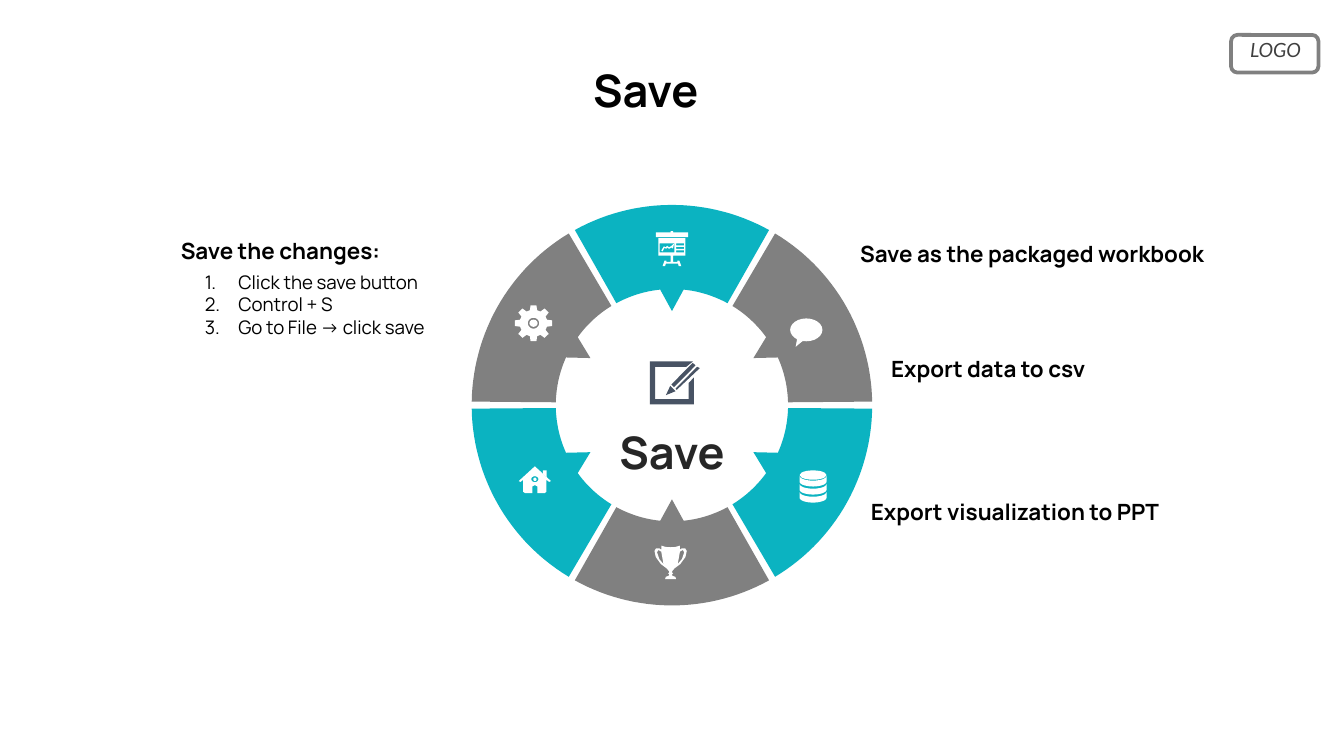
from math import cos, radians, sin

from lxml import etree
from pptx import Presentation, util as u
from pptx.dml.color import RGBColor
from pptx.enum import shapes, text
from pptx.oxml import ns

COLUMNS, ROWS = 100, 56.25
TEAL, GRAY, SLATE, WHITE, BLACK = "0BB3C1", "808080", "485364", "FFFFFF", "000000"


def cells(count):
    """Turn grid cells into a length."""
    return u.Inches(count / 10)


def color(value):
    """Read a hex colour."""
    return RGBColor.from_string(value)


def polar(center, radius, angle):
    """Find a point by its clockwise angle from the top."""
    return (center[0] + radius * sin(radians(angle)),
            center[1] - radius * cos(radians(angle)))


def arc(center, radius, start, end, step=2):
    """List points along an arc, in either direction."""
    count = max(1, round(abs(end - start) / step))
    return [polar(center, radius, start + (end - start) * i / count) for i in range(count + 1)]


def rectangle(left, top, right, bottom):
    """List the corners of a rectangle."""
    return [(left, top), (right, top), (right, bottom), (left, bottom)]


def mirror(points):
    """Reflect points across the middle of a 100-wide box."""
    return [(100 - x, y) for x, y in reversed(points)]


def fill(shape, value):
    """Paint a shape flat, without outline or shadow."""
    shape.fill.solid()
    shape.fill.fore_color.rgb = color(value)
    shape.line.fill.background()
    shape.shadow.inherit = False


def outline(slide, contours, value, box=(0, 0, 100, 100)):
    """Draw closed contours given in percent of a box."""
    left, top, width, height = box
    placed = [[(cells(left + x * width / 100), cells(top + y * height / 100)) for x, y in points]
              for points in contours]
    builder = slide.shapes.build_freeform(*placed[0][0])
    for index, points in enumerate(placed):
        if index:
            builder.move_to(*points[0])
        builder.add_line_segments(points[1:], close=True)
    fill(builder.convert_to_shape(), value)


def preset(slide, kind, box, value):
    """Add a flat preset shape."""
    shape = slide.shapes.add_shape(kind, *map(cells, box))
    fill(shape, value)
    return shape


def label(slide, box, lines, size, bold=True, tight=True, value=BLACK,
          font="Manrope", italic=False, centered=False, numbered=False):
    """Write lines of text in a box."""
    frame = slide.shapes.add_textbox(*map(cells, box)).text_frame
    frame.word_wrap = True
    if tight:
        frame.margin_left = frame.margin_right = u.Inches(0.05)
        frame.margin_top = frame.margin_bottom = u.Inches(0.03)
    frame.text = "\n".join(lines)
    for paragraph in frame.paragraphs:
        if centered:
            paragraph.alignment = text.PP_ALIGN.CENTER
        if numbered:
            number(paragraph)
        for run in paragraph.runs:
            run.font.name, run.font.size = font, u.Pt(size)
            run.font.bold, run.font.italic = bold, italic
            run.font.color.rgb = color(value)


def number(paragraph):
    """Give a paragraph a hanging automatic number."""
    properties = paragraph._p.get_or_add_pPr()
    properties.set("marL", str(u.Inches(0.42)))
    properties.set("indent", str(u.Inches(-0.25)))
    tint = etree.SubElement(properties, ns.qn("a:buClr"))
    etree.SubElement(tint, ns.qn("a:srgbClr")).set("val", BLACK)
    etree.SubElement(properties, ns.qn("a:buAutoNum")).set("type", "arabicPeriod")


def logo(slide, box):
    """Place the framed logo word."""
    left, top, width, height = box
    frame = preset(slide, shapes.MSO_SHAPE.ROUNDED_RECTANGLE, box, WHITE)
    frame.fill.background()
    frame.line.color.rgb = color(GRAY)
    frame.line.width = u.Pt(2)
    label(slide, (left - 0.6, top - 0.3, width + 1.3, height), ["LOGO"], 10.5, bold=False,
          tight=False, value="404040", font="Lato", italic=True, centered=True)


def wheel(slide, box):
    """Draw six ring segments, each with a pointer towards the centre."""
    left, top, size, _ = box
    center, outer = (left + size / 2, top + size / 2), size / 2
    inner, tip = outer * 0.58, outer * 0.47
    for index in range(6):
        middle = index * 60
        segment = (arc(center, outer, middle - 29, middle + 29)
                   + arc(center, inner, middle + 28.6, middle + 5.8)
                   + [polar(center, tip, middle)]
                   + arc(center, inner, middle - 5.8, middle - 28.6))
        outline(slide, [segment], GRAY if index % 2 else TEAL)


def easel(slide, box):
    """Draw a presentation board with a chart line."""
    left, top, width, height = box
    rail = [(50, 0), (54, 0), (54, 4), (100, 4), (100, 17), (50, 17)]
    stand = [(50, 20), (92, 20), (92, 70), (54, 70), (54, 88), (67, 88), (67, 85),
             (73, 85), (79, 100), (71, 100), (69, 93), (50, 93)]
    panes = [rectangle(63, y, 88, y + 6) for y in (35, 45, 55)]
    outline(slide, [rail + mirror(rail)], WHITE, box)
    outline(slide, [stand + mirror(stand), rectangle(12, 35, 58, 61)] + panes, WHITE, box)
    trend = [(80, 30), (60, 50), (45, 30), (35, 50), (20, 38), (0, 90), (10, 100), (25, 55),
             (38, 68), (48, 52), (60, 68), (80, 52), (90, 65), (100, 0)]
    outline(slide, [trend], WHITE, (left + width * 0.17, top + height * 0.35,
                                    width * 0.4, height * 0.23))


def balloon(slide, box):
    """Draw a speech balloon."""
    shape = preset(slide, shapes.MSO_SHAPE.OVAL_CALLOUT, box, WHITE)
    shape.adjustments[0], shape.adjustments[1] = -0.33, 0.74


def cylinder(slide, box):
    """Draw a stack of three disks under a lid."""
    left, top, width, height = box
    lid = height * 0.29
    preset(slide, shapes.MSO_SHAPE.OVAL, (left, top, width, lid), WHITE)
    upper = [(x, y * 0.9 - 45) for x, y in arc((50, 50), 50, 270, 90, 10)]
    lower = [(x, y * 0.9 + 10) for x, y in arc((50, 50), 50, 90, 270, 10)]
    for index in range(3):
        outline(slide, [upper + lower], WHITE,
                (left, top + height * (0.17 + 0.25 * index), width, height * 0.33))


def cup(slide, box):
    """Draw a trophy."""
    half = [(50, 5), (65, 4), (79, 0), (79, 12), (85, 8), (95, 8), (100, 16), (96, 34), (80, 55),
            (62, 68), (55, 76), (54, 80), (58, 82), (54, 86), (56, 90), (65, 93), (67, 100)]
    handle = [(79, 18), (88, 13), (92, 20), (85, 40), (72, 55)]
    outline(slide, [half + mirror(half), handle, mirror(handle)], WHITE, box)


def house(slide, box):
    """Draw a house with a round window and a chimney."""
    left, top, width, height = box
    half = [(50, 0), (100, 55), (94, 58), (86, 50), (86, 95), (80, 100), (58, 100),
            (58, 75), (50, 70)]
    outline(slide, [half + mirror(half), arc((50, 48), 11, 0, 350, 10)], WHITE, box)
    outline(slide, [[(75, 15), (86, 15), (86, 40), (75, 28)]], WHITE, box)
    preset(slide, shapes.MSO_SHAPE.OVAL, (left + width * 0.45, top + height * 0.42,
                                          width * 0.1, height * 0.13), WHITE)


def gear(slide, box):
    """Draw an eight-tooth gear with a hub."""
    left, top, width, height = box
    rim = [polar((50, 50), radius, tooth * 45 + turn) for tooth in range(8)
           for radius, turn in ((37, -15), (50, -9), (50, 9), (37, 15))]
    outline(slide, [rim, arc((50, 50), 15, 0, 350, 10)], WHITE, box)
    preset(slide, shapes.MSO_SHAPE.OVAL, (left + width * 0.39, top + height * 0.4,
                                          width * 0.22, height * 0.2), WHITE)


def hub(slide, box):
    """Place the notepad and its word in the middle of the wheel."""
    left, top, width, _ = box
    pad = [(72, 88), (10, 88), (10, 15), (68, 15), (80, 3), (0, 3), (0, 100),
           (82, 100), (82, 39), (72, 52)]
    nib = [(48, 70), (38, 58), (30, 79)]
    barrels = [[(80, 6), (40, 55), (45, 61), (85, 12)], [(48, 64), (50, 67), (93, 18), (88, 15)]]
    outline(slide, [pad, nib] + barrels, SLATE, (left + 4.8, top, 4, 3.3))
    label(slide, (left, top + 4.5, width, 4.5), ["Save"], 24, value="262626", centered=True)


def steps(slide, box):
    """Place a heading over its numbered steps."""
    left, top, width, _ = box
    label(slide, (left, top, width, 2.5), ["Save the changes:"], 12)
    label(slide, (left - 0.4, top + 2.3, width + 0.4, 6.1),
          ["Click the save button", "Control + S", "Go to File -> click save"],
          10, bold=False, tight=False, numbered=True)


def main():
    """Build the slide."""
    deck = Presentation()
    deck.slide_width, deck.slide_height = cells(COLUMNS), cells(ROWS)
    slide = deck.slides.add_slide(deck.slide_layouts[6])
    logo(slide, (91.6, 2.6, 6.5, 2.8))
    wheel(slide, (35.1, 15.25, 29.8, 29.8))
    easel(slide, (48.8, 17.2, 2.4, 2.6))
    balloon(slide, (58.8, 23.7, 2.4, 1.7))
    cylinder(slide, (59.5, 35, 2, 2.4))
    cup(slide, (48.7, 40.6, 2.4, 2.5))
    house(slide, (38.6, 34.7, 2.4, 2))
    gear(slide, (38.3, 22.7, 2.8, 2.7))
    hub(slide, (43.55, 26.8, 12.9, 9))
    label(slide, (65.8, 26.1, 23.1, 2.5), ["Export data to csv"], 12)
    label(slide, (64.3, 36.8, 23.1, 4.5), ["Export visualization to PPT"], 12)
    label(slide, (63.5, 17.6, 27.3, 4.5), ["Save as the packaged workbook"], 12)
    steps(slide, (12.95, 17.35, 23.1, 8.3))
    label(slide, (43.15, 4.15, 16.6, 5.9), ["Save"], 24, tight=False)
    deck.save("out.pptx")


if __name__ == "__main__":
    main()
